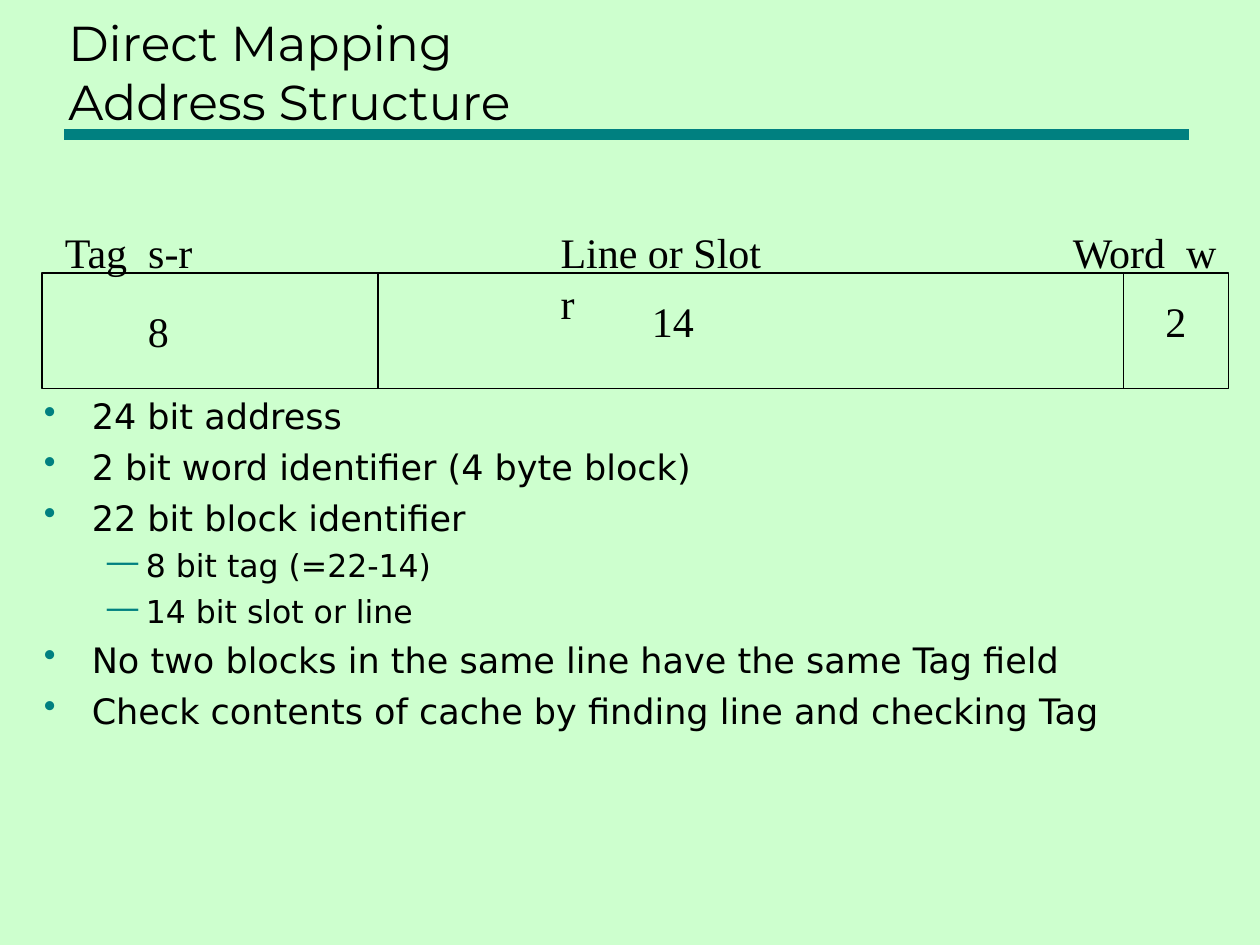
"""Build the slide on direct mapping and its address fields."""
from typing import NamedTuple

from lxml.etree import SubElement as Sub
from pptx import Presentation
from pptx.dml.color import RGBColor as Rgb
from pptx.enum.shapes import MSO_CONNECTOR as Conn, MSO_SHAPE as Shape
from pptx.enum.text import MSO_ANCHOR as Anchor, MSO_AUTO_SIZE as Fit, PP_ALIGN as Align
from pptx.oxml.ns import qn
from pptx.util import Inches, Pt

COLS, ROWS = 120, 90
WIDE, HIGH = Inches(10), Inches(7.5)
HUES = {"back": "CDFFCE", "ink": "000000", "teal": "008080"}
TOP, BASE = 26, 37


class Label(NamedTuple):
    text: str
    col: float
    row: float
    cols: float


class Level(NamedTuple):
    mark: str
    size: int
    left: float
    hang: float
    gap: float


class Item(NamedTuple):
    text: str
    level: int = 0


LABELS = [
    Label("Tag  s-r", 5, 21, 14.8),
    Label("Line or Slot  r", 52.2, 21, 24.8),
    Label("Word  w", 101, 21, 16.3),
    Label("8", 12.9, 28.5, 4.3),
    Label("14", 60.9, 27.6, 6.4),
    Label("2", 109.8, 27.6, 4.3),
]
LEVELS = [Level("•", 20, 0.38, 0.38, 5), Level("—", 18, 0.81, 0.31, 4.5)]
ITEMS = [
    Item("24 bit address"),
    Item("2 bit word identifier (4 byte block)"),
    Item("22 bit block identifier"),
    Item("8 bit tag (=22-14)", 1),
    Item("14 bit slot or line", 1),
    Item("No two blocks in the same line have the same Tag field"),
    Item("Check contents of cache by finding line and checking Tag"),
]


def across(col: float) -> int:
    """Give the length of some columns."""
    return round(WIDE * col / COLS)


def down(row: float) -> int:
    """Give the length of some rows."""
    return round(HIGH * row / ROWS)


def area(col: float, row: float, cols: float, rows: float) -> tuple:
    """Give left, top, width and height of a part of the grid."""
    return across(col), down(row), across(cols), down(rows)


def hue(name: str) -> Rgb:
    """Look up a colour."""
    return Rgb.from_string(HUES[name])


def write(para, text: str, *, font: str, size: float, ink: str = "ink") -> None:
    """Fill a paragraph with formatted text."""
    para.text = text
    para.alignment = Align.LEFT
    para.font.name, para.font.size = font, Pt(size)
    para.font.color.rgb = hue(ink)


def draw_line(slide, start: tuple, end: tuple, ink: str = "ink", width: float = 0.75) -> None:
    """Draw a straight line between two grid points."""
    line = slide.shapes.add_connector(
        Conn.STRAIGHT, across(start[0]), down(start[1]), across(end[0]), down(end[1]))
    line.line.color.rgb = hue(ink)
    line.line.width = Pt(width)
    Sub(line._element.spPr, qn("a:effectLst"))


def draw_title(slide) -> None:
    """Place the title and the rule below it."""
    draw_line(slide, (6.1, 12.8), (113.2, 12.8), "teal", 6)
    title = slide.shapes.title
    title.left, title.top, title.width, title.height = area(5.3, 2, 107.7, 11)
    frame = title.text_frame
    frame.auto_size = Fit.NONE
    frame.vertical_anchor = Anchor.BOTTOM
    write(frame.paragraphs[0], "Direct Mapping\vAddress Structure", font="Montserrat", size=28)


def draw_fields(slide) -> None:
    """Draw the address box with its dividers and labels."""
    box = slide.shapes.add_shape(Shape.RECTANGLE, *area(4, TOP, 113, BASE - TOP))
    box.shadow.inherit = False
    box.fill.background()
    box.line.color.rgb = hue("ink")
    box.line.width = Pt(0.75)
    for col in (36, 107):
        draw_line(slide, (col, TOP), (col, BASE))
    for label in LABELS:
        frame = slide.shapes.add_textbox(*area(label.col, label.row, label.cols, 6)).text_frame
        frame.word_wrap = False
        frame.auto_size = Fit.SHAPE_TO_FIT_TEXT
        write(frame.paragraphs[0], label.text, font="Times New Roman", size=24)


def draw_list(slide) -> None:
    """Write the bulleted list."""
    frame = slide.shapes.add_textbox(*area(3, BASE, 110.3, 42.5)).text_frame
    frame.word_wrap = True
    for spot, item in enumerate(ITEMS):
        para = frame.add_paragraph() if spot else frame.paragraphs[0]
        level = LEVELS[item.level]
        para.level = item.level
        props = para._p.get_or_add_pPr()
        props.set("marL", str(Inches(level.left)))
        props.set("indent", str(-Inches(level.hang)))
        Sub(Sub(props, qn("a:buClr")), qn("a:srgbClr"), val=HUES["teal"])
        Sub(props, qn("a:buChar"), char=level.mark)
        para.space_before = Pt(level.gap if spot else 0)
        write(para, item.text, font="DejaVu Sans", size=level.size)


def main() -> None:
    """Build and save the deck."""
    deck = Presentation()
    deck.slide_width, deck.slide_height = WIDE, HIGH
    slide = deck.slides.add_slide(deck.slide_layouts[5])
    slide.background.fill.solid()
    slide.background.fill.fore_color.rgb = hue("back")
    draw_title(slide)
    draw_fields(slide)
    draw_list(slide)
    deck.save("out.pptx")


if __name__ == "__main__":
    main()
